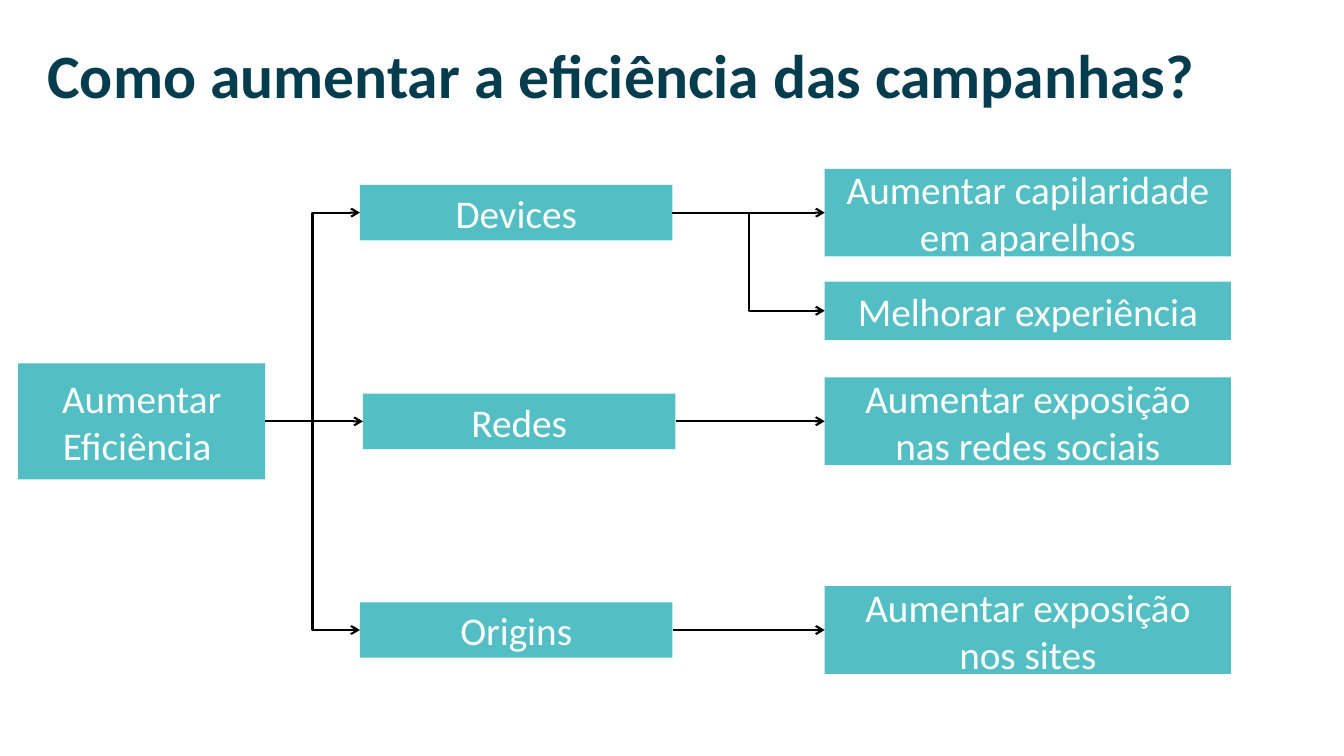
from lxml import etree
from pptx import Presentation
from pptx.dml.color import RGBColor
from pptx.enum.shapes import MSO_CONNECTOR, MSO_SHAPE
from pptx.enum.text import MSO_ANCHOR, PP_ALIGN
from pptx.oxml.ns import qn
from pptx.util import Inches, Pt

RECTANGLE = MSO_SHAPE.RECTANGLE
STRAIGHT = MSO_CONNECTOR.STRAIGHT
ELBOW = MSO_CONNECTOR.ELBOW
CENTER, LEFT = PP_ALIGN.CENTER, PP_ALIGN.LEFT
MIDDLE, TOP = MSO_ANCHOR.MIDDLE, MSO_ANCHOR.TOP
LEFT_SIDE, RIGHT_SIDE = 1, 3

COLORS = {"navy": "053D4E", "teal": "53BFC4", "white": "FFFFFF", "black": "000000"}
COLUMNS = {"goal": (0.18, 2.45), "lever": (3.57, 3.1), "action": (8.18, 4.03)}
FIRST_ROW = 2.11
ROW_PITCH = 2.07


class TreeSlide:
    font = "Calibri"

    def __init__(self, slide):
        self.slide = slide

    def color(self, name):
        return RGBColor.from_string(COLORS[name])

    def fill_text(self, frame, lines, size, color, align, anchor, bold=False):
        frame.word_wrap = True
        frame.vertical_anchor = anchor
        for index, line in enumerate(lines):
            paragraph = frame.add_paragraph() if index else frame.paragraphs[0]
            paragraph.alignment = align
            paragraph.line_spacing = 1.0
            paragraph.space_before = Pt(0)
            run = paragraph.add_run()
            run.text = line
            run.font.name = self.font
            run.font.size = Pt(size)
            run.font.bold = bold
            run.font.color.rgb = self.color(color)

    def title(self, text):
        heading = self.slide.shapes.title
        heading.left, heading.top = Inches(0.37), Inches(0.32)
        heading.width, heading.height = Inches(12.6), Inches(0.84)
        self.fill_text(heading.text_frame, [text], 44, "navy", LEFT, TOP, bold=True)

    def box(self, column, row, height, *lines, shift=0):
        left, width = COLUMNS[column]
        top = FIRST_ROW + row * ROW_PITCH - height / 2
        node = self.slide.shapes.add_shape(
            RECTANGLE, Inches(left + shift), Inches(top), Inches(width), Inches(height))
        node.shadow.inherit = False
        node.fill.solid()
        node.fill.fore_color.rgb = self.color("teal")
        node.line.fill.background()
        self.fill_text(node.text_frame, lines, 28, "white", CENTER, MIDDLE)
        return node

    def arrow(self, source, target, kind=ELBOW):
        link = self.slide.shapes.add_connector(kind, 0, 0, 0, 0)
        link.begin_connect(source, RIGHT_SIDE)
        link.end_connect(target, LEFT_SIDE)
        link.line.color.rgb = self.color("black")
        link.line.width = Pt(1.5)
        properties = link._element.spPr
        etree.SubElement(properties.find(qn("a:ln")), qn("a:tailEnd"), type="arrow")
        etree.SubElement(properties, qn("a:effectLst"))


def main():
    deck = Presentation()
    deck.slide_width, deck.slide_height = Inches(13.33), Inches(7.5)
    tree = TreeSlide(deck.slides.add_slide(deck.slide_layouts[5]))

    tree.title("Como aumentar a eficiência das campanhas?")
    goal = tree.box("goal", 1, 1.15, "Aumentar", "Eficiência ")
    devices = tree.box("lever", 0, 0.55, "Devices")
    networks = tree.box("lever", 1, 0.55, "Redes", shift=0.03)
    origins = tree.box("lever", 2, 0.55, "Origins")
    reach = tree.box("action", 0, 0.87, "Aumentar capilaridade em aparelhos")
    experience = tree.box("action", 0.47, 0.58, "Melhorar experiência")
    social = tree.box("action", 1, 0.87, "Aumentar exposição nas redes sociais")
    sites = tree.box("action", 2, 0.87, "Aumentar exposição nos sites")

    tree.arrow(devices, reach, STRAIGHT)
    for source, target in ((devices, experience), (networks, social), (origins, sites),
                           (goal, origins), (goal, devices), (goal, networks)):
        tree.arrow(source, target)

    deck.save("out.pptx")


if __name__ == "__main__":
    main()
